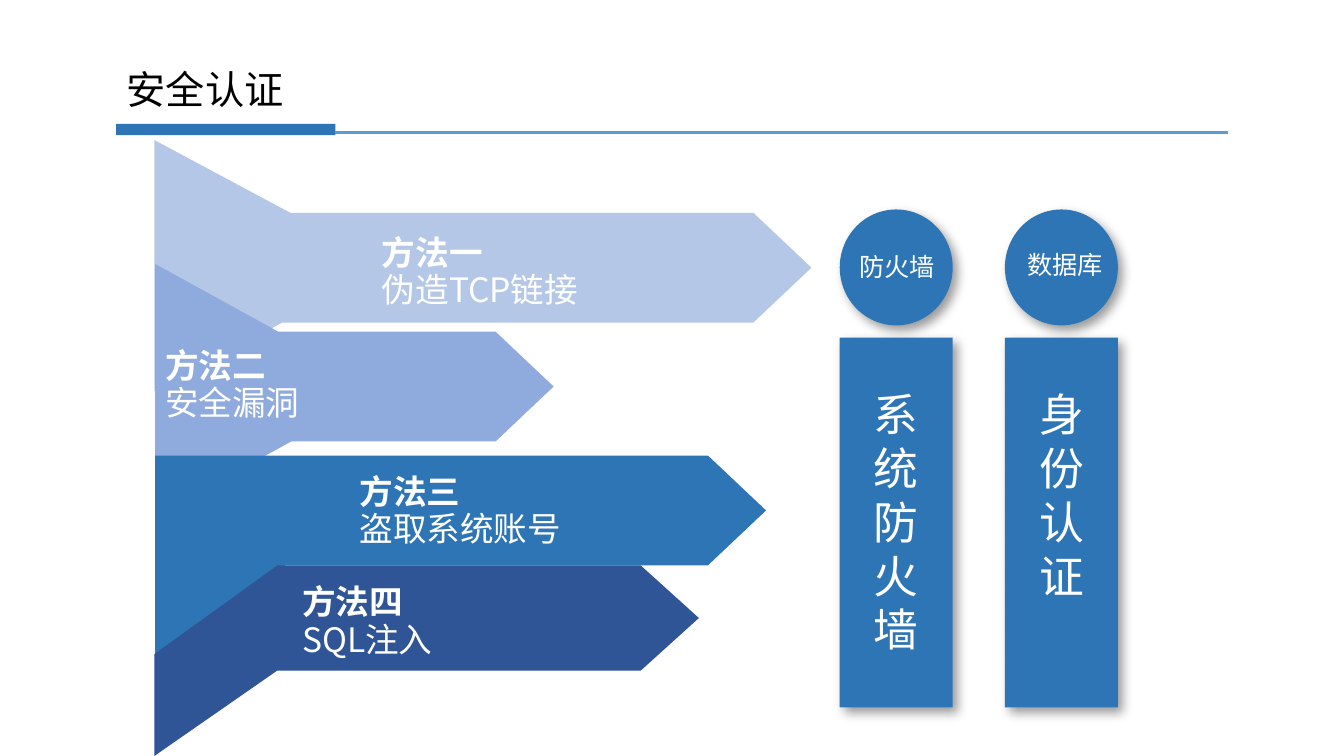
from lxml.etree import SubElement as Sub
from pptx import Presentation
from pptx.dml.color import RGBColor as RGB
from pptx.enum.shapes import MSO_CONNECTOR as Link, MSO_SHAPE as Kind
from pptx.enum.text import PP_ALIGN as Align
from pptx.oxml.ns import qn
from pptx.util import Pt

FONT = "Noto Sans CJK SC"
COLORS = {
    "white": "FFFFFF", "black": "000000", "blue": "2E75B6", "line": "5B9BD5",
    "pale": "B4C7E7", "mid": "8FAADC", "navy": "2F5597",
}

deck = Presentation()
deck.slide_width, deck.slide_height = Pt(960), Pt(540)
slide = deck.slides.add_slide(deck.slide_layouts[6])
shapes = slide.shapes


def paint(shape, color):
    shape.fill.solid()
    shape.fill.fore_color.rgb = RGB.from_string(COLORS[color])
    shape.line.fill.background()
    shape.shadow.inherit = False


def write(words, box, size, color="white", bold=False, wrap=False, align=Align.LEFT):
    frame = shapes.add_textbox(*map(Pt, box)).text_frame
    frame.word_wrap = wrap
    para = frame.paragraphs[0]
    para.text = words
    para.alignment = align
    run = para.runs[0]
    run.font.size = Pt(size)
    run.font.bold = bold
    run.font.color.rgb = RGB.from_string(COLORS[color])
    run.font.name = FONT
    Sub(run.font._element, qn("a:ea"), typeface=FONT)


bar = shapes.add_shape(Kind.RECTANGLE, Pt(83), Pt(88.5), Pt(156.5), Pt(8))
paint(bar, "blue")
rule = shapes.add_connector(Link.STRAIGHT, Pt(239.5), Pt(94.7), Pt(877), Pt(94.7))
rule.line.color.rgb = RGB.from_string(COLORS["line"])
rule.line.width = Pt(2)
Sub(rule._element.spPr, qn("a:effectLst"))
write("安全认证", (83.5, 43.2, 127.5, 41), 28, "black")

HEAD = 41.5
arrows = [
    ("pale", 110.2, (100, 279.4), (207.4, 201.6), (152, 230.4), 579.6,
     (265.7, 162), "方法一", "伪造TCP链接"),
    ("mid", 110.9, (188.6, 368.6), (198.7, 208.1), (236.9, 315.4), 395.5,
     (110.9, 242.6), "方法二", "安全漏洞"),
    ("blue", 110.9, (325.4, 505.4), (198.7, 203.8), (325.4, 403.9), 547.2,
     (249.8, 332.6), "方法三", "盗取系统账号"),
    ("navy", 110.2, (467.3, 540), (198, 198), (403.9, 479), 499.2,
     (208.8, 411.5), "方法四", "SQL注入"),
]
for color, left, tail, neck, edge, tip, (x, y), name, note in arrows:
    points = [
        (left, tail[0]), (neck[0], edge[0]), (tip - HEAD, edge[0]),
        (tip, sum(edge) / 2), (tip - HEAD, edge[1]), (neck[1], edge[1]),
        (left, tail[1]),
    ]
    points = [(Pt(a), Pt(b)) for a, b in points]
    pen = shapes.build_freeform(*points[0])
    pen.add_line_segments(points[1:], close=True)
    paint(pen.convert_to_shape(), color)
    write(name, (x, y, 88, 36), 24, bold=True)
    write(note, (x, y + 26.8, 233, 36), 24, wrap=True)

pillars = [
    (599.8, "防火墙", (606.2, 175.7), "系统防火墙", 611.3, 201),
    (717.8, "数据库", (726.5, 174.5), "身份认证", 729.4, 162.7),
]
for left, label, spot, words, x, high in pillars:
    for kind, top, tall in [(Kind.RECTANGLE, 241.2, 264.2), (Kind.OVAL, 149.6, 82.8)]:
        part = shapes.add_shape(kind, Pt(left), Pt(top), Pt(80.7), Pt(tall))
        paint(part, "blue")
        glow = part._element.spPr.find(qn("a:effectLst"))
        cast = Sub(glow, qn("a:outerShdw"), blurRad=str(Pt(8)), dist=str(Pt(5)),
                   dir="2700000", algn="tl", rotWithShape="0")
        tint = Sub(cast, qn("a:srgbClr"), val=COLORS["black"])
        Sub(tint, qn("a:alpha"), val="40000")
    write(label, (*spot, 69, 29), 18, align=Align.CENTER)
    write(words, (x, 272.9, 57.6, high), 32, wrap=True, align=Align.CENTER)

deck.save("out.pptx")
